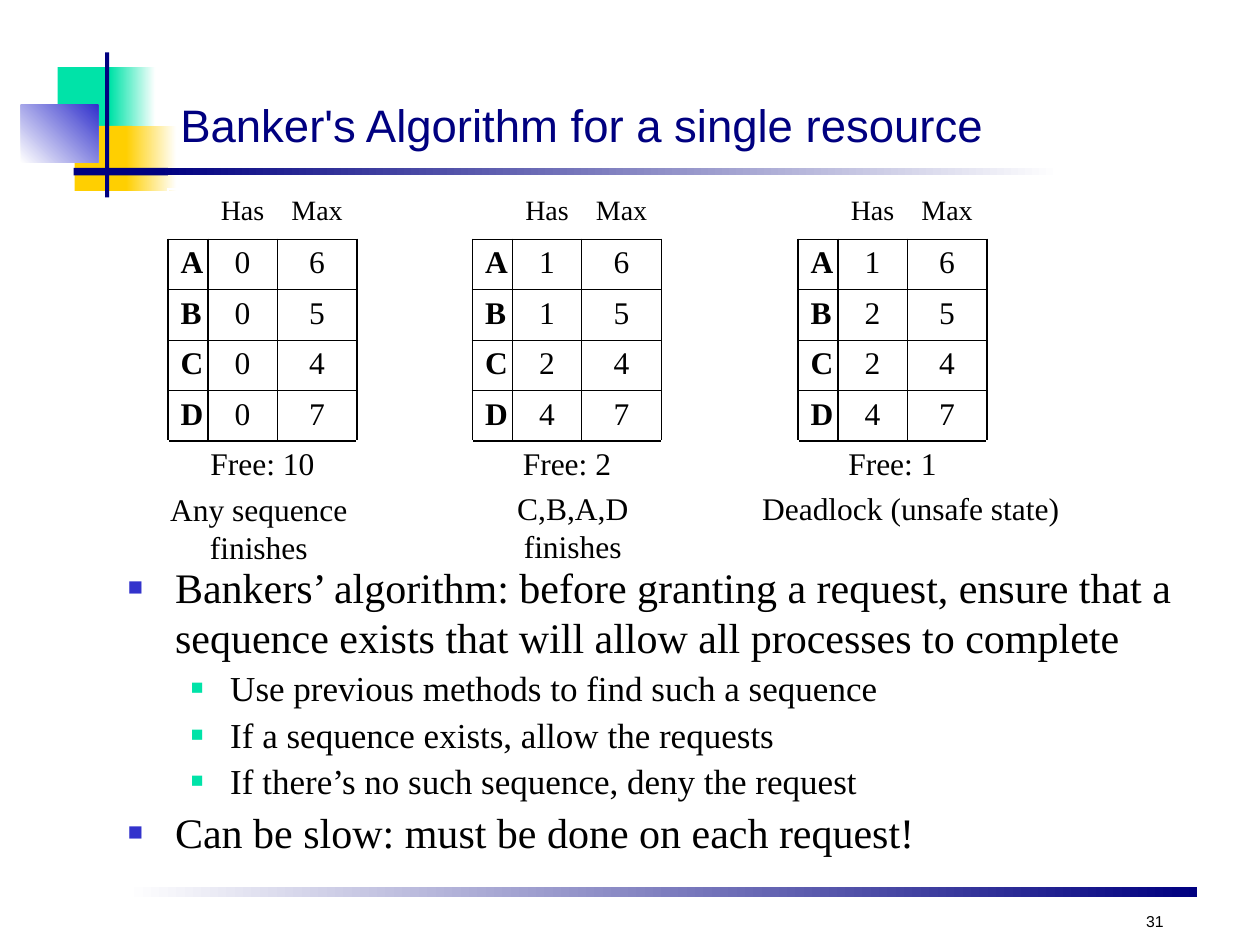
from dataclasses import dataclass

from lxml import etree
from pptx import Presentation
from pptx.dml.color import RGBColor
from pptx.enum.shapes import MSO_SHAPE
from pptx.enum.text import MSO_ANCHOR, MSO_AUTO_SIZE, PP_ALIGN
from pptx.oxml.ns import qn
from pptx.util import Emu, Inches, Pt

RECTANGLE = MSO_SHAPE.RECTANGLE
BOTTOM = MSO_ANCHOR.BOTTOM
GROW = MSO_AUTO_SIZE.SHAPE_TO_FIT_TEXT
LEFT, CENTER, RIGHT = PP_ALIGN.LEFT, PP_ALIGN.CENTER, PP_ALIGN.RIGHT


@dataclass(frozen=True)
class Theme:
    sans: str = "Arial"
    serif: str = "Times New Roman"
    black: str = "000000"
    white: str = "FFFFFF"
    navy: str = "000080"
    blue: str = "3333CC"
    green: str = "00E3A8"
    yellow: str = "FFCF01"
    title: int = 26
    bullet: int = 24
    sub_bullet: int = 20
    label: int = 18
    header: int = 16
    page_number: int = 9
    heavy: float = 1.08
    thin: float = 0.45


THEME = Theme()
GRID_COLUMNS, GRID_ROWS = 120, 90
UNIT = Inches(10) // GRID_COLUMNS

# left, top, width, height in grid units; colours from left to right; angle
ORNAMENTS = [
    ((12, 84.5, 102, 0.9), (THEME.white, THEME.navy), 0),
    ((5.5, 6.4, 5.8, 6.2), (THEME.green,), 0),
    ((10.5, 6.4, 4.3, 6.2), (THEME.green, THEME.white), 0),
    ((7.1, 12, 5.5, 6.2), (THEME.yellow,), 0),
    ((12, 12, 4.8, 6.2), (THEME.yellow, THEME.white), 0),
    ((2, 10, 7.35, 5.5), (THEME.white, THEME.blue), 45),
    ((10, 5, 0.4, 13.8), (THEME.navy,), 0),
    ((7, 16, 9, 0.7), (THEME.navy,), 0),
    ((15, 16, 86, 0.7), (THEME.navy, THEME.white), 0),
]

PROCESSES = "ABCD"
MAXIMUM = [6, 5, 4, 7]
COLUMN_WIDTHS = [3.8, 6.6, 7.6]
ROW_HEIGHT = 4.8
TABLE_TOP = 18
# table left, units each process has, free units, verdict, verdict's place
STATES = [
    (16, [0, 0, 0, 0], 10, "Any sequence\vfinishes", (10.1, 46.1, 29.1, 4.8)),
    (45, [1, 1, 2, 4], 2, "C,B,A,D\vfinishes", (43.1, 46, 22.9, 4.8)),
    (76, [1, 2, 2, 4], 1, "Deadlock (unsafe state)", (71.4, 46, 30.7, 4.8)),
]

BULLETS = [
    (0, "Bankers’ algorithm: before granting a request, ensure that a "
        "sequence exists that will allow all processes to complete"),
    (1, "Use previous methods to find such a sequence"),
    (1, "If a sequence exists, allow the requests"),
    (1, "If there’s no such sequence, deny the request"),
    (0, "Can be slow: must be done on each request!"),
]
# per level: text size, bullet colour, left margin, hanging indent, space before
LEVELS = [
    (THEME.bullet, THEME.blue, 4.5, 4.5, 3),
    (THEME.sub_bullet, THEME.green, 9.75, 3.75, 2.5),
]


def grid(*lengths):
    return [Emu(round(length * UNIT)) for length in lengths]


def style(para, size, font=THEME.serif, color=THEME.black, bold=False, align=LEFT):
    para.alignment = align
    para.font.size = Pt(size)
    for span in para.runs:
        span.font.name = font
        span.font.size = Pt(size)
        span.font.bold = bold
        span.font.color.rgb = RGBColor.from_string(color)


def add_ornament(page, place, colors, angle):
    bar = page.shapes.add_shape(RECTANGLE, *grid(*place))
    bar.shadow.inherit = False
    bar.line.fill.background()
    if len(colors) == 1:
        bar.fill.solid()
        bar.fill.fore_color.rgb = RGBColor.from_string(colors[0])
        return
    bar.fill.gradient()
    bar.fill.gradient_angle = angle
    for position, (stop, color) in enumerate(zip(bar.fill.gradient_stops, colors)):
        stop.position = position
        stop.color.rgb = RGBColor.from_string(color)


def add_text(page, place, text, size, **look):
    box = page.shapes.add_textbox(*grid(*place))
    box.text_frame.word_wrap = True
    box.text_frame.text = text
    style(box.text_frame.paragraphs[0], size, **look)
    return box.text_frame


def add_verdict(page, place, text):
    frame = add_text(page, place, text, THEME.label, align=CENTER)
    frame.word_wrap = False
    frame.auto_size = GROW


def set_border(cell, side, width):
    line = etree.SubElement(cell._tc.get_or_add_tcPr(), qn(f"a:ln{side}"), w=str(Pt(width)))
    fill = etree.SubElement(line, qn("a:solidFill"))
    etree.SubElement(fill, qn("a:srgbClr"), val=THEME.black)


def border_widths(row, column):
    """Heavy lines frame the process rows and set off their names."""
    last = len(PROCESSES)
    if row == 0:
        return {"B": THEME.heavy}
    if row > last:
        return {"T": THEME.heavy}
    return {
        "L": THEME.thin if column == 2 else THEME.heavy,
        "R": THEME.thin if column == 1 else THEME.heavy,
        "T": THEME.heavy if row == 1 else THEME.thin,
        "B": THEME.heavy if row == last else THEME.thin,
    }


def add_state_table(page, left, has, free):
    rows = [("", "Has", "Max"), *zip(PROCESSES, has, MAXIMUM), (f"Free: {free}", "", "")]
    place = grid(left, TABLE_TOP, sum(COLUMN_WIDTHS), ROW_HEIGHT * len(rows))
    table = page.shapes.add_table(len(rows), len(COLUMN_WIDTHS), *place).table
    table.first_row = table.horz_banding = False
    for column, width in zip(table.columns, grid(*COLUMN_WIDTHS)):
        column.width = width
    for row, values in enumerate(rows):
        table.rows[row].height = grid(ROW_HEIGHT)[0]
        for column, value in enumerate(values):
            cell = table.cell(row, column)
            cell.text = str(value)
            style(cell.text_frame.paragraphs[0],
                  THEME.header if row == 0 else THEME.label,
                  bold=value in tuple(PROCESSES), align=CENTER)
            for side, width in border_widths(row, column).items():
                set_border(cell, side, width)
            cell.fill.background()
    table.cell(len(rows) - 1, 0).merge(table.cell(len(rows) - 1, 2))


def add_bullet(para, color, margin, hang):
    margin, hang = grid(margin, hang)
    props = para._p.get_or_add_pPr()
    props.set("marL", str(margin))
    props.set("indent", str(-hang))
    tint = etree.SubElement(props, qn("a:buClr"))
    etree.SubElement(tint, qn("a:srgbClr"), val=color)
    etree.SubElement(props, qn("a:buSzPct"), val="60000")
    etree.SubElement(props, qn("a:buFont"), typeface=THEME.sans)
    etree.SubElement(props, qn("a:buChar"), char="■")


def add_bullet_list(page, place):
    frame = page.shapes.add_textbox(*grid(*place)).text_frame
    frame.word_wrap = True
    frame.margin_top = Inches(0.09)
    for index, (level, text) in enumerate(BULLETS):
        size, color, margin, hang, space = LEVELS[level]
        para = frame.add_paragraph() if index else frame.paragraphs[0]
        para.text = text
        para.level = level
        add_bullet(para, color, margin, hang)
        para.space_before = Pt(space if index else 0)
        style(para, size)


def main():
    deck = Presentation()
    deck.slide_width, deck.slide_height = grid(GRID_COLUMNS, GRID_ROWS)
    page = deck.slides.add_slide(deck.slide_layouts[6])
    for ornament in ORNAMENTS:
        add_ornament(page, *ornament)
    number = add_text(page, (107, 86, 5, 3.25), "31", THEME.page_number,
                      font=THEME.sans, align=RIGHT)
    title = add_text(page, (16, 7, 102, 8), "Banker's Algorithm for a single resource",
                     THEME.title, font=THEME.sans, color=THEME.navy)
    number.vertical_anchor = title.vertical_anchor = BOTTOM
    for left, has, free, verdict, place in STATES:
        add_state_table(page, left, has, free)
        add_verdict(page, place, verdict)
    add_bullet_list(page, (11, 52.4, 106.6, 31.4))
    deck.save("out.pptx")


if __name__ == "__main__":
    main()
